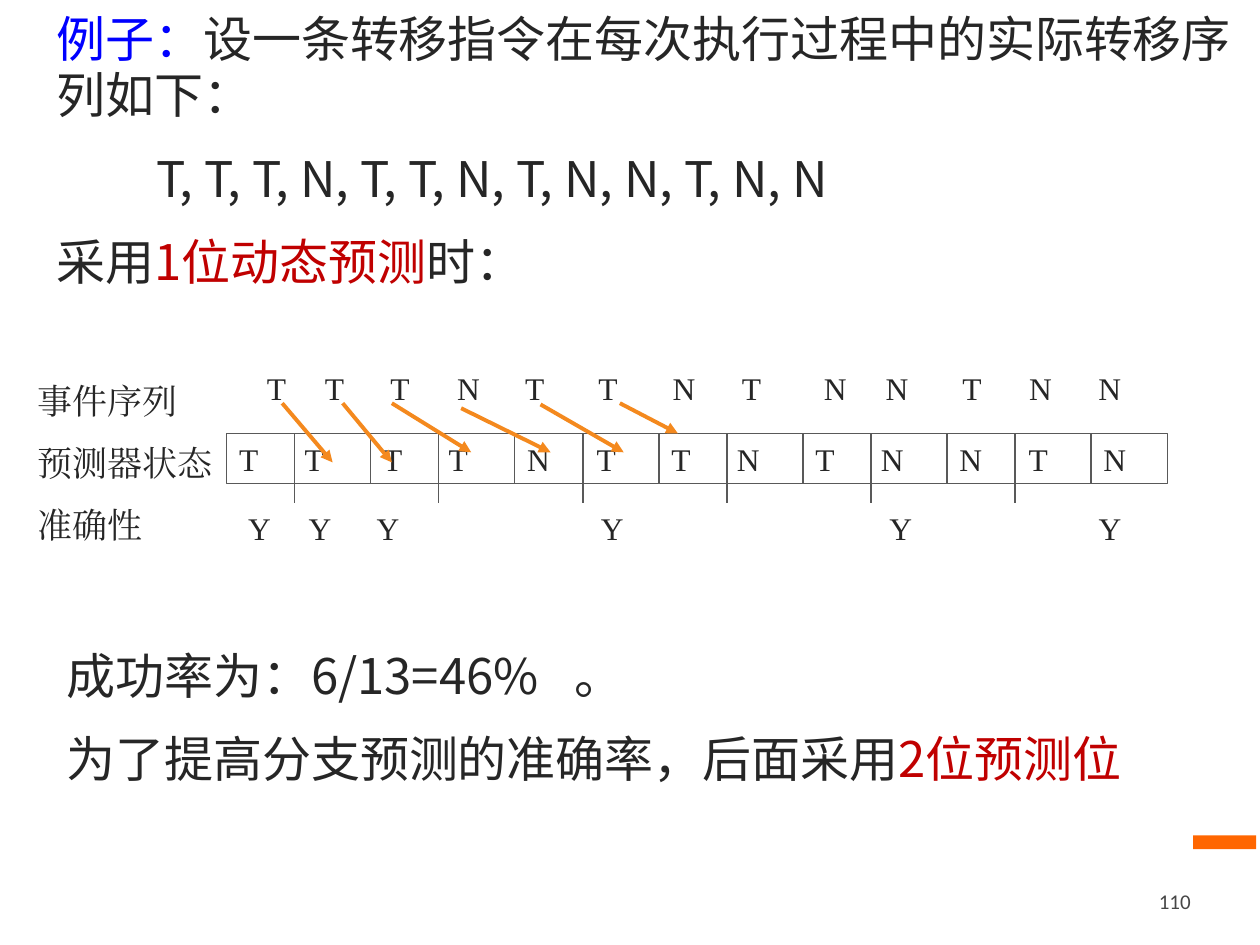
from lxml import etree
from pptx import Presentation
from pptx import util as u
from pptx.dml.color import RGBColor
from pptx.enum import shapes, text
from pptx.oxml import ns

HUES = {"ink": "262626", "blue": "0000FF", "red": "C00000", "rule": "595959",
        "arrow": "F4891E", "bar": "FF6600", "page": "474747"}
SANS, SERIF = "Noto Sans CJK SC", "Times New Roman"


def hue(name):
    return RGBColor.from_string(HUES[name])


def sub(node, tag, **attrs):
    return etree.SubElement(node, ns.qn(tag), **attrs)


def write(frame, paras, size=18, font=SERIF, color="ink", align="LEFT",
          anchor="TOP", tabs=(), gap=0, line=None, side=0.1, top=0.05):
    """Each paragraph is a list of strings or (string, color) pairs."""
    frame.word_wrap = True
    frame.vertical_anchor = getattr(text.MSO_ANCHOR, anchor)
    frame.margin_left = frame.margin_right = u.Inches(side)
    frame.margin_top, frame.margin_bottom = u.Inches(top), u.Inches(0.05)
    for i, runs in enumerate(paras):
        para = frame.add_paragraph() if i else frame.paragraphs[0]
        para.alignment = getattr(text.PP_ALIGN, align)
        if line:
            para.line_spacing = u.Pt(line)
        if i and gap:
            para.space_before = u.Pt(gap)
        if tabs:
            stops = sub(para._p.get_or_add_pPr(), "a:tabLst")
            for x in tabs:
                sub(stops, "a:tab", pos=str(u.Inches(x)), algn="l")
        for part in runs:
            words, tint = (part, color) if isinstance(part, str) else part
            run = para.add_run()
            run.text = words
            run.font.size = u.Pt(size)
            run.font.name = font
            run.font.color.rgb = hue(tint)
            sub(run._r.get_or_add_rPr(), "a:ea", typeface=font)


class Board:
    def __init__(self, slide):
        self.slide = slide
        self.thin, self.thick = 0.75, 2.25

    def label(self, x, y, w, h, paras, **style):
        box = self.slide.shapes.add_textbox(*map(u.Inches, (x, y, w, h)))
        write(box.text_frame, paras, **style)

    def rect(self, x, y, w, h, fill=None, edge=None):
        box = self.slide.shapes.add_shape(
            shapes.MSO_SHAPE.RECTANGLE, *map(u.Inches, (x, y, w, h)))
        box.shadow.inherit = False
        if fill:
            box.fill.solid()
            box.fill.fore_color.rgb = hue(fill)
        else:
            box.fill.background()
        if edge:
            box.line.color.rgb = hue(edge)
            box.line.width = u.Pt(self.thin)
        else:
            box.line.fill.background()
        return box

    def line(self, x1, y1, x2, y2, color="rule", arrow=False):
        link = self.slide.shapes.add_connector(
            shapes.MSO_CONNECTOR.STRAIGHT, *map(u.Inches, (x1, y1, x2, y2)))
        link.line.color.rgb = hue(color)
        link.line.width = u.Pt(self.thick if arrow else self.thin)
        if arrow:
            sub(link.line._get_or_add_ln(), "a:tailEnd", type="triangle")
        sub(link._element.spPr, "a:effectLst")


def main():
    deck = Presentation()
    deck.slide_width, deck.slide_height = u.Inches(10), u.Inches(7.5)
    board = Board(deck.slides.add_slide(deck.slide_layouts[6]))
    body = dict(size=28, font=SANS, gap=15, line=32.5, top=0.12)

    # Accent bar and page number
    board.rect(9.47, 6.63, 0.5, 0.11, fill="bar")
    board.label(7.17, 6.95, 2.33, 0.4, [["110"]], size=12, font="Calibri",
                color="page", align="RIGHT", anchor="MIDDLE", side=0.05)

    # Problem
    board.label(0.35, -0.04, 9.65, 3.33, [
        [("例子：", "blue"), "设一条转移指令在每次执行过程中的实际转移序列如下："],
        ["\tT, T, T, N, T, T, N, T, N, N, T, N, N"],
        ["采用", ("1位动态预测", "red"), "时："],
    ], tabs=[0.79], **body)

    # Predictor states, two to a cell
    left, top, wide, high = 1.8, 3.44, 1.143, 0.4
    for i, pair in enumerate(["TT", "TT", "NT", "TN", "TN", "NT", "N"]):
        x = left + i * wide
        full = len(pair) == 2
        if full:
            board.line(x + 0.54, top, x + 0.54, top + 0.55)
        cell = board.rect(x, top, wide if full else 0.61, high, edge="rule")
        write(cell.text_frame, [["\t".join(pair)]],
              tabs=[0.55 if pair[0] == "N" else 0.52])

    # Events above, hits below
    board.label(2.02, 2.88, 7.63, high, [["\t".join("TTTNTTNTNNTNN")]],
                tabs=[0.46, 0.98, 1.51, 2.05, 2.63, 3.22, 3.77, 4.42, 4.91,
                      5.52, 6.05, 6.6])
    board.label(1.87, 3.99, 7.39, high, [["\t".join("YYYYYY")]],
                tabs=[0.48, 1.02, 2.8, 5.09, 6.75])
    board.label(0.2, 2.96, 2.06, 1.43,
                [["事件序列"], ["预测器状态"], ["准确性"]], size=20, gap=11.5)

    # Result
    board.label(0.43, 5.02, 9.57, 1.98, [
        ["成功率为：6/13=46%\t。"],
        ["为了提高分支预测的准确率，后面采用", ("2位预测位", "red")],
    ], tabs=[4.03], **body)

    # Each event sets the next state
    for ends in [(2.24, 3.2, 2.64, 3.67), (2.72, 3.2, 3.11, 3.67),
                 (3.11, 3.2, 3.74, 3.59), (3.66, 3.24, 4.37, 3.59),
                 (4.29, 3.21, 4.95, 3.59), (4.92, 3.2, 5.38, 3.44)]:
        board.line(*ends, color="arrow", arrow=True)

    deck.save("out.pptx")


if __name__ == "__main__":
    main()
